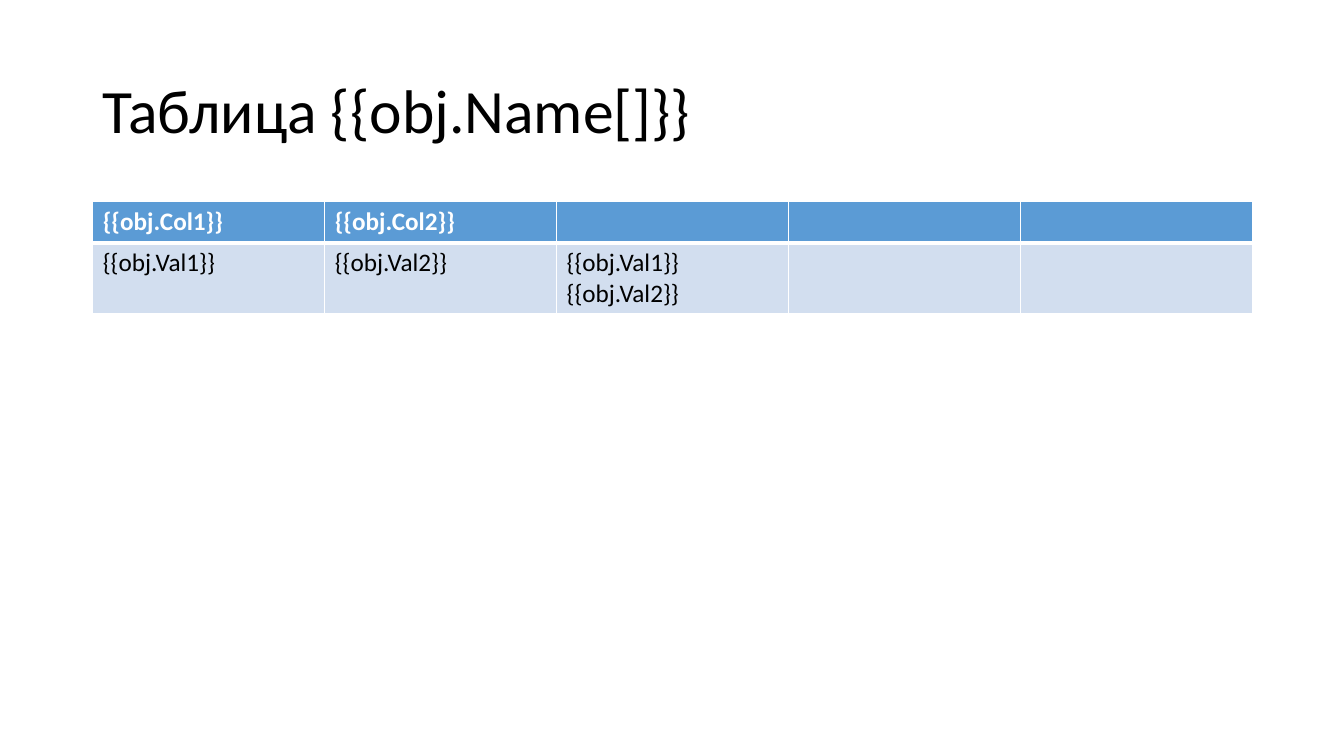
from lxml import etree
from pptx import Presentation
from pptx.dml.color import RGBColor
from pptx.enum.text import MSO_ANCHOR
from pptx.oxml.ns import qn
from pptx.util import Inches, Pt

MIDDLE = MSO_ANCHOR.MIDDLE
FONT = "Calibri"
BLACK = RGBColor(0x00, 0x00, 0x00)
WHITE = RGBColor(0xFF, 0xFF, 0xFF)
HEADER_BLUE = RGBColor(0x5B, 0x9B, 0xD5)
BODY_BLUE = RGBColor(0xD2, 0xDE, 0xEF)

LEFT, WIDTH = 0.92, 11.5
ROW_HEIGHTS = [0.41, 0.7]
ROWS = [
    ["{{obj.Col1}}", "{{obj.Col2}}", "", "", ""],
    ["{{obj.Val1}}", "{{obj.Val2}}", "{{obj.Val1}}\n{{obj.Val2}}", "", ""],
]


def format_text(text_frame, size, color, bold=False):
    for paragraph in text_frame.paragraphs:
        paragraph.font.size = Pt(size)
        for run in paragraph.runs:
            run.font.name = FONT
            run.font.size = Pt(size)
            run.font.bold = bold
            run.font.color.rgb = color


def add_title(slide, text):
    title = slide.shapes.add_textbox(
        Inches(LEFT), Inches(0.4), Inches(WIDTH), Inches(1.45)
    )
    text_frame = title.text_frame
    text_frame.word_wrap = True
    text_frame.vertical_anchor = MIDDLE
    text_frame.text = text
    text_frame.paragraphs[0].line_spacing = 0.9
    format_text(text_frame, 44, BLACK)


def set_borders(cell, top, bottom):
    properties = cell._tc.get_or_add_tcPr()
    for side, width in (("L", 1), ("R", 1), ("T", top), ("B", bottom)):
        line = etree.SubElement(properties, qn(f"a:ln{side}"), w=str(Pt(width)))
        fill = etree.SubElement(line, qn("a:solidFill"))
        etree.SubElement(fill, qn("a:srgbClr"), val=str(WHITE))


def style_cell(cell, text, is_header):
    set_borders(cell, 1 if is_header else 3, 3 if is_header else 1)
    cell.fill.solid()
    cell.fill.fore_color.rgb = HEADER_BLUE if is_header else BODY_BLUE
    cell.text_frame.text = text
    format_text(cell.text_frame, 18, WHITE if is_header else BLACK, is_header)


def add_values_table(slide):
    column_count = len(ROWS[0])
    table = slide.shapes.add_table(
        len(ROWS), column_count,
        Inches(LEFT), Inches(2), Inches(WIDTH), Inches(sum(ROW_HEIGHTS)),
    ).table
    for column in table.columns:
        column.width = Inches(WIDTH / column_count)
    for row_index, values in enumerate(ROWS):
        table.rows[row_index].height = Inches(ROW_HEIGHTS[row_index])
        for column_index, text in enumerate(values):
            style_cell(table.cell(row_index, column_index), text, row_index == 0)


def main():
    presentation = Presentation()
    presentation.slide_width = Inches(13.33)
    presentation.slide_height = Inches(7.5)
    slide = presentation.slides.add_slide(presentation.slide_layouts[6])
    add_title(slide, "Таблица {{obj.Name[]}}")
    add_values_table(slide)
    presentation.save("out.pptx")


if __name__ == "__main__":
    main()
